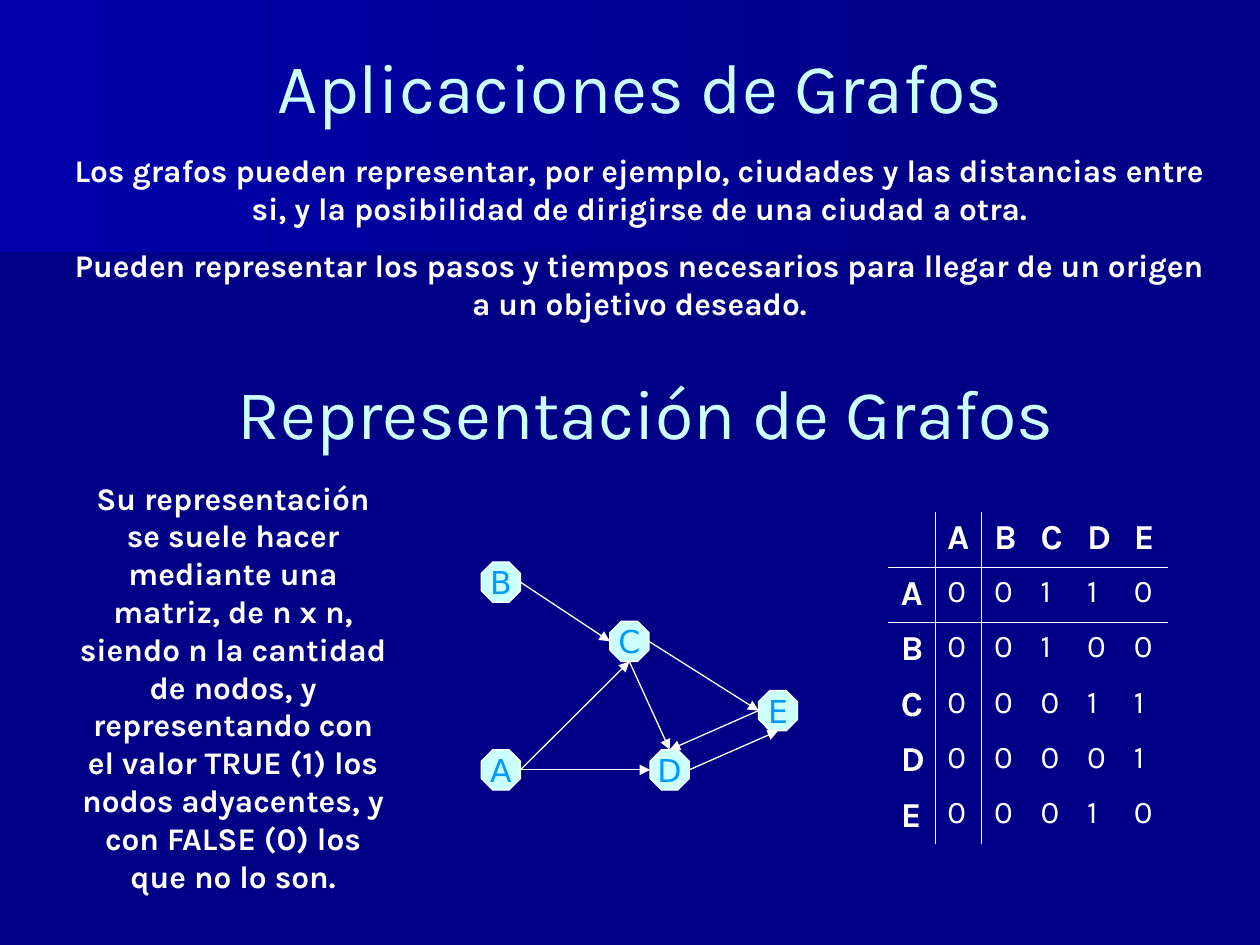
from lxml import etree
from pptx import Presentation
from pptx.dml.color import RGBColor
from pptx.enum.shapes import MSO_CONNECTOR, MSO_SHAPE
from pptx.enum.text import MSO_ANCHOR, PP_ALIGN
from pptx.oxml.ns import qn
from pptx.util import Inches, Pt

LINE = MSO_CONNECTOR.STRAIGHT
OCTAGON = MSO_SHAPE.OCTAGON
TOP, MIDDLE = MSO_ANCHOR.TOP, MSO_ANCHOR.MIDDLE
LEFT, CENTER = PP_ALIGN.LEFT, PP_ALIGN.CENTER

WHITE, PALE, BLUE, NAVY = "FFFFFF", "CCFFFF", "0099FF", "000086"
BANDS = [
    ("00007D", [(7.78, 1.53), (0, 2.17), (0, 1.01), (7.79, 1.01), (7.78, 1.28)]),
    ("0000AC", [(7.92, 1.62), (0, 2.08), (0, 0), (7.92, 0)]),
]
HEADS = [
    ("Aplicaciones de Grafos", (0.67, 0.28, 8.82, 0.79)),
    ("Representación de Grafos", (0.75, 2.96, 8.75, 0.61)),
]
BODIES = [
    (["Los grafos pueden representar, por ejemplo, ciudades y las distancias "
      "entre si, y la posibilidad de dirigirse de una ciudad a otra.",
      "Pueden representar los pasos y tiempos necesarios para llegar de un "
      "origen a un objetivo deseado."], (0.43, 1.15, 9.29, 1.46)),
    (["Su representación se suele hacer mediante una matriz, de n x n, siendo n "
      "la cantidad de nodos, y representando con el valor TRUE (1) los nodos "
      "adyacentes, y con FALSE (0) los que no lo son."], (0.51, 3.75, 2.68, 3.7)),
]
NODES = {"B": (3.82, 4.46), "C": (4.84, 4.93), "D": (5.16, 5.95),
         "E": (6.02, 5.48), "A": (3.82, 5.95)}
NODE_W, NODE_H = 0.31, 0.32
SIDES = {"top": (0.5, 0), "left": (0, 0.5), "bottom": (0.5, 1), "right": (1, 0.5)}
EDGES = [
    ("D", "right", "E", "bottom"),
    ("A", "right", "D", "left"),
    ("A", "right", "C", "bottom"),
    ("C", "bottom", "D", "top"),
    ("E", "left", "D", "top"),
    ("C", "right", "E", "left"),
    ("B", "right", "C", "left"),
]
NAMES = "ABCDE"
MATRIX = ["00110", "00100", "00011", "00001", "00010"]
CELL_W, CELL_H = 0.37, 0.43
PLAIN = "{2D5ABB26-0587-4C30-8999-92F81FD0307C}"


def rgb(code):
    return RGBColor.from_string(code)


def box(nums):
    return [Inches(n) for n in nums]


def write(frame, *lines, size=18, font="Karla", color=WHITE, bold=False,
          align=CENTER, before=0):
    for i, line in enumerate(lines):
        para = frame.add_paragraph() if i else frame.paragraphs[0]
        para.alignment = align
        para.space_before = Pt(before)
        run = para.add_run()
        run.text = line
        run.font.size = Pt(size)
        run.font.name = font
        run.font.bold = bold
        run.font.color.rgb = rgb(color)


def add_text(slide, lines, place, anchor=TOP, **form):
    frame = slide.shapes.add_textbox(*box(place)).text_frame
    frame.word_wrap = True
    frame.vertical_anchor = anchor
    write(frame, *lines, **form)


def add_band(slide, shade, points):
    path = slide.shapes.build_freeform(*points[0], scale=Inches(1))
    path.add_line_segments(points[1:], close=True)
    band = path.convert_to_shape()
    band.shadow.inherit = False
    band.line.fill.background()
    band.fill.gradient()
    band.fill.gradient_angle = 180
    for stop, (spot, color) in zip(band.fill.gradient_stops, [(0, NAVY), (1, shade)]):
        stop.position = spot
        stop.color.rgb = rgb(color)


def add_node(slide, name, spot):
    node = slide.shapes.add_shape(OCTAGON, *box((*spot, NODE_W, NODE_H)))
    node.shadow.inherit = False
    node.fill.solid()
    node.fill.fore_color.rgb = rgb(PALE)
    node.line.color.rgb = rgb(WHITE)
    node.line.width = Pt(0.75)
    frame = node.text_frame
    frame.word_wrap = False
    frame.vertical_anchor = MIDDLE
    write(frame, name, font="DejaVu Sans", color=BLUE)


def port(name, side):
    (x, y), (dx, dy) = NODES[name], SIDES[side]
    return x + dx * NODE_W, y + dy * NODE_H


def add_edge(slide, start, out, end, into):
    edge = slide.shapes.add_connector(LINE, *box(port(start, out) + port(end, into)))
    edge.line.color.rgb = rgb(WHITE)
    edge.line.width = Pt(0.75)
    etree.SubElement(edge.line._get_or_add_ln(), qn("a:tailEnd"), type="triangle")
    etree.SubElement(edge._element.spPr, qn("a:effectLst"))


def rule(cell, tag):
    line = etree.SubElement(cell._tc.get_or_add_tcPr(), qn(tag), w=str(Pt(0.45)))
    fill = etree.SubElement(line, qn("a:solidFill"))
    etree.SubElement(fill, qn("a:srgbClr"), val=WHITE)


def add_matrix(slide):
    rows = [" " + NAMES] + [name + row for name, row in zip(NAMES, MATRIX)]
    count = len(rows)
    place = box((7.05, 4.06, CELL_W * count, CELL_H * count))
    table = slide.shapes.add_table(count, count, *place).table
    table.first_row = table.horz_banding = False
    table._tbl.tblPr.find(qn("a:tableStyleId")).text = PLAIN
    for r, row in enumerate(rows):
        table.rows[r].height = Inches(0.44)
        for c, value in enumerate(row):
            cell = table.cell(r, c)
            for tag, drawn in [("a:lnL", c == 1), ("a:lnR", c == 0),
                               ("a:lnT", r == 1), ("a:lnB", r == 0)]:
                if drawn:
                    rule(cell, tag)
            cell.fill.background()
            head = r == 0 or c == 0
            if value.strip():
                write(cell.text_frame, value, size=20 if head else 18, bold=head,
                      align=LEFT, before=5 if head else 4.5)


def main():
    deck = Presentation()
    deck.slide_width, deck.slide_height = Inches(10), Inches(7.5)
    slide = deck.slides.add_slide(deck.slide_layouts[6])
    slide.background.fill.solid()
    slide.background.fill.fore_color.rgb = rgb(NAVY)
    for shade, points in BANDS:
        add_band(slide, shade, points)
    for text, place in HEADS:
        add_text(slide, [text], place, anchor=MIDDLE, size=40, color=PALE)
    for lines, place in BODIES:
        add_text(slide, lines, place, bold=True, before=11.2)
    for name, spot in NODES.items():
        add_node(slide, name, spot)
    for edge in EDGES:
        add_edge(slide, *edge)
    add_matrix(slide)
    deck.save("out.pptx")


if __name__ == "__main__":
    main()
